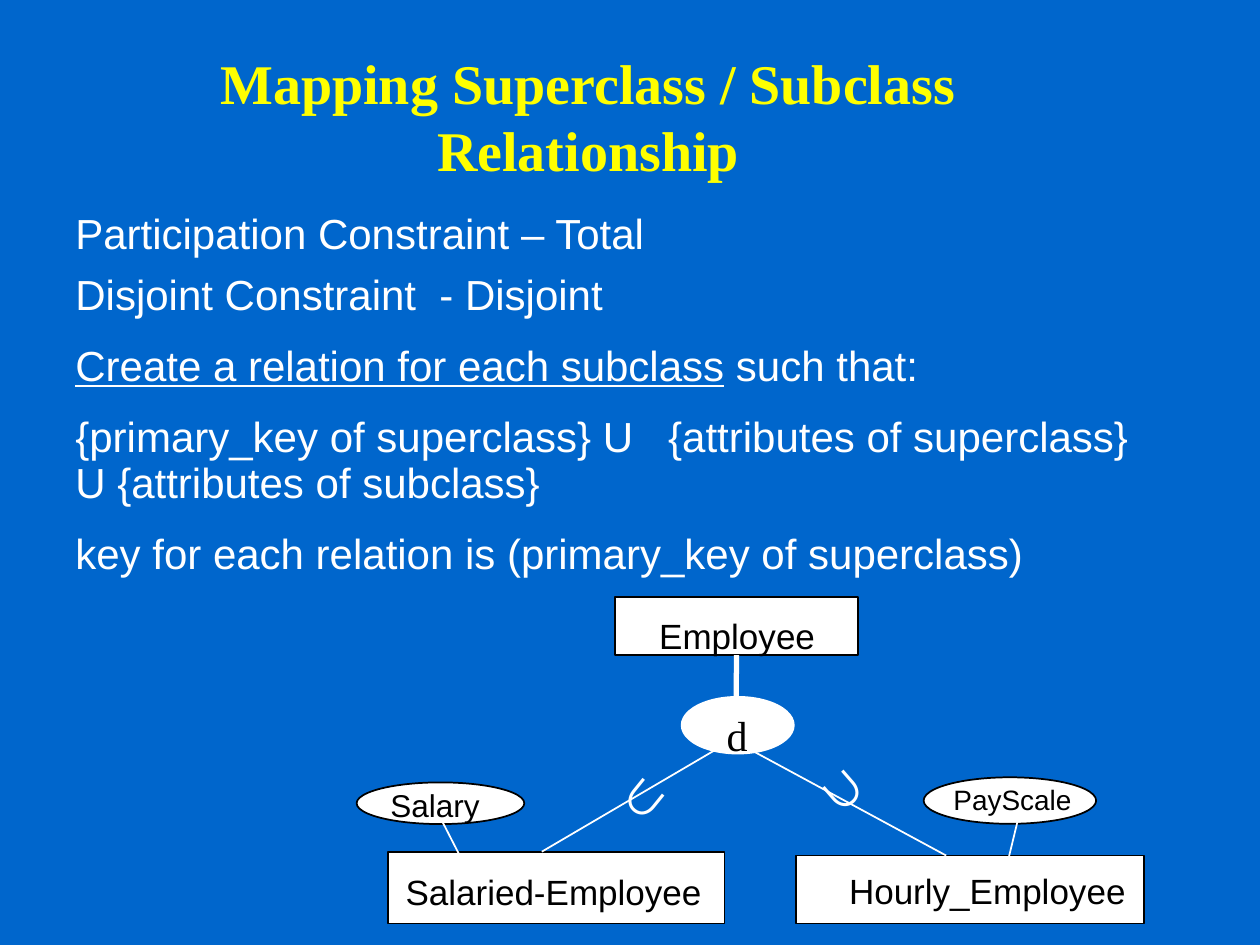
"""Build the slide on mapping a superclass / subclass relationship."""
from lxml.etree import SubElement
from pptx import Presentation
from pptx.dml.color import RGBColor
from pptx.enum.shapes import MSO_CONNECTOR, MSO_SHAPE
from pptx.enum.text import MSO_ANCHOR, MSO_AUTO_SIZE, PP_ALIGN
from pptx.oxml.ns import qn
from pptx.util import Pt

BLUE = RGBColor(0x00, 0x66, 0xCC)
YELLOW = RGBColor(0xFF, 0xFF, 0x00)
WHITE = RGBColor(0xFF, 0xFF, 0xFF)
BLACK = RGBColor(0x00, 0x00, 0x00)
SANS, SERIF = "Arial", "Times New Roman"
LEFT, CENTER = PP_ALIGN.LEFT, PP_ALIGN.CENTER
RECT, OVAL = MSO_SHAPE.RECTANGLE, MSO_SHAPE.OVAL

TITLE = "Mapping Superclass / Subclass Relationship"
RULES = [
    ([("Participation Constraint – Total", False)], 0, 1),
    ([("Disjoint Constraint  - Disjoint", False)], 6, 1),
    ([("Create a relation for each subclass", True), (" such that:", False)], 15, 0.9),
    ([("{primary_key of superclass} U   {attributes of superclass}  "
       "U {attributes of subclass}", False)], 15, 0.9),
    ([("key for each relation is (primary_key of superclass)", False)], 15, 0.9),
]
NODES = {
    "salaried": (RECT, (221.8, 486.7, 192.2, 41), BLACK),
    "hourly": (RECT, (455, 488.9, 198.7, 38.9), BLACK),
    "salary": (OVAL, (203.8, 447.1, 95.8, 23.8), BLACK),
    "pay_scale": (OVAL, (527.8, 444.2, 98.6, 26.6), BLACK),
    "employee": (RECT, (351.4, 341.3, 139, 33.1), BLACK),
    "disjoint": (OVAL, (389.5, 398.2, 64.1, 32.4), WHITE),
}
LINKS = [
    ((426.2, 418.3), (309.6, 486.7), 1, None),
    ((426.2, 427), (540.7, 488.9), 1, None),
    ((420.5, 373.7), (420.5, 414.7), 3, "employee"),
    ((252, 468), (264.2, 491.8), 1, None),
    ((581.8, 468), (576, 491.8), 1, None),
]
LABELS = [
    ("Salaried-Employee", (224.6, 493.9, 183.6, 31), 20, SANS, BLACK, CENTER, False, 0),
    ("Hourly_Employee", (478.1, 493.2, 172.8, 31), 20, SANS, BLACK, LEFT, False, 0),
    ("∩", (463, 432, 43.2, 50.4), 36, SANS, WHITE, LEFT, False, 139),
    ("∩", (342, 434.9, 43.2, 50.4), 36, SANS, WHITE, LEFT, False, 219),
    ("PayScale", (537.8, 443.5, 82.1, 25.9), 16, SANS, BLACK, LEFT, False, 0),
    ("Salary", (216, 445.7, 97.9, 28.8), 18, SANS, BLACK, LEFT, True, 0),
    ("Employee", (369.4, 347.8, 103.7, 31), 20, SANS, BLACK, CENTER, False, 0),
    ("d", (408.2, 402, 34.6, 36), 24, SERIF, BLACK, LEFT, True, 0),
]


def add_text_frame(slide, box, wrap=True, rotation=0):
    text_box = slide.shapes.add_textbox(*map(Pt, box))
    text_box.rotation = rotation
    frame = text_box.text_frame
    frame.word_wrap = wrap
    return frame


def add_run(paragraph, text, size, face, color, bold=False, underline=False):
    run = paragraph.add_run()
    run.text = text
    font = run.font
    font.size, font.name, font.bold = Pt(size), face, bold
    font.underline = underline
    font.color.rgb = color


def add_title(slide):
    frame = add_text_frame(slide, (30.2, 20.9, 612, 87.1))
    frame.vertical_anchor = MSO_ANCHOR.BOTTOM
    paragraph = frame.paragraphs[0]
    paragraph.alignment = CENTER
    add_run(paragraph, TITLE, 32, SERIF, YELLOW, bold=True)


def add_rules(slide):
    frame = add_text_frame(slide, (36, 115, 635.8, 219.6))
    for index, (runs, space, spacing) in enumerate(RULES):
        paragraph = frame.add_paragraph() if index else frame.paragraphs[0]
        paragraph.space_before = Pt(space)
        paragraph.line_spacing = spacing
        for text, underline in runs:
            add_run(paragraph, text, 24, SANS, WHITE, underline=underline)


def add_node(slide, kind, box, outline):
    node = slide.shapes.add_shape(kind, *map(Pt, box))
    node.shadow.inherit = False
    node.fill.solid()
    node.fill.fore_color.rgb = WHITE
    node.line.color.rgb = outline
    node.line.width = Pt(1)
    return node


def add_link(slide, start, end, width, source):
    link = slide.shapes.add_connector(MSO_CONNECTOR.STRAIGHT, *map(Pt, start + end))
    link.line.color.rgb = WHITE
    link.line.width = Pt(width)
    SubElement(link._element.spPr, qn("a:effectLst"))
    if source is not None:
        link.begin_connect(source, 2)


def add_label(slide, text, box, size, face, color, align, wrap, rotation):
    frame = add_text_frame(slide, box, wrap, rotation)
    frame.auto_size = MSO_AUTO_SIZE.SHAPE_TO_FIT_TEXT
    paragraph = frame.paragraphs[0]
    paragraph.alignment = align
    add_run(paragraph, text, size, face, color)


def main():
    deck = Presentation()
    deck.slide_width, deck.slide_height = Pt(720), Pt(540)
    slide = deck.slides.add_slide(deck.slide_layouts[6])
    slide.background.fill.solid()
    slide.background.fill.fore_color.rgb = BLUE
    add_title(slide)
    add_rules(slide)
    nodes = {name: add_node(slide, *node) for name, node in NODES.items()}
    for start, end, width, source in LINKS:
        add_link(slide, start, end, width, nodes.get(source))
    for label in LABELS:
        add_label(slide, *label)
    deck.save("out.pptx")


if __name__ == "__main__":
    main()
